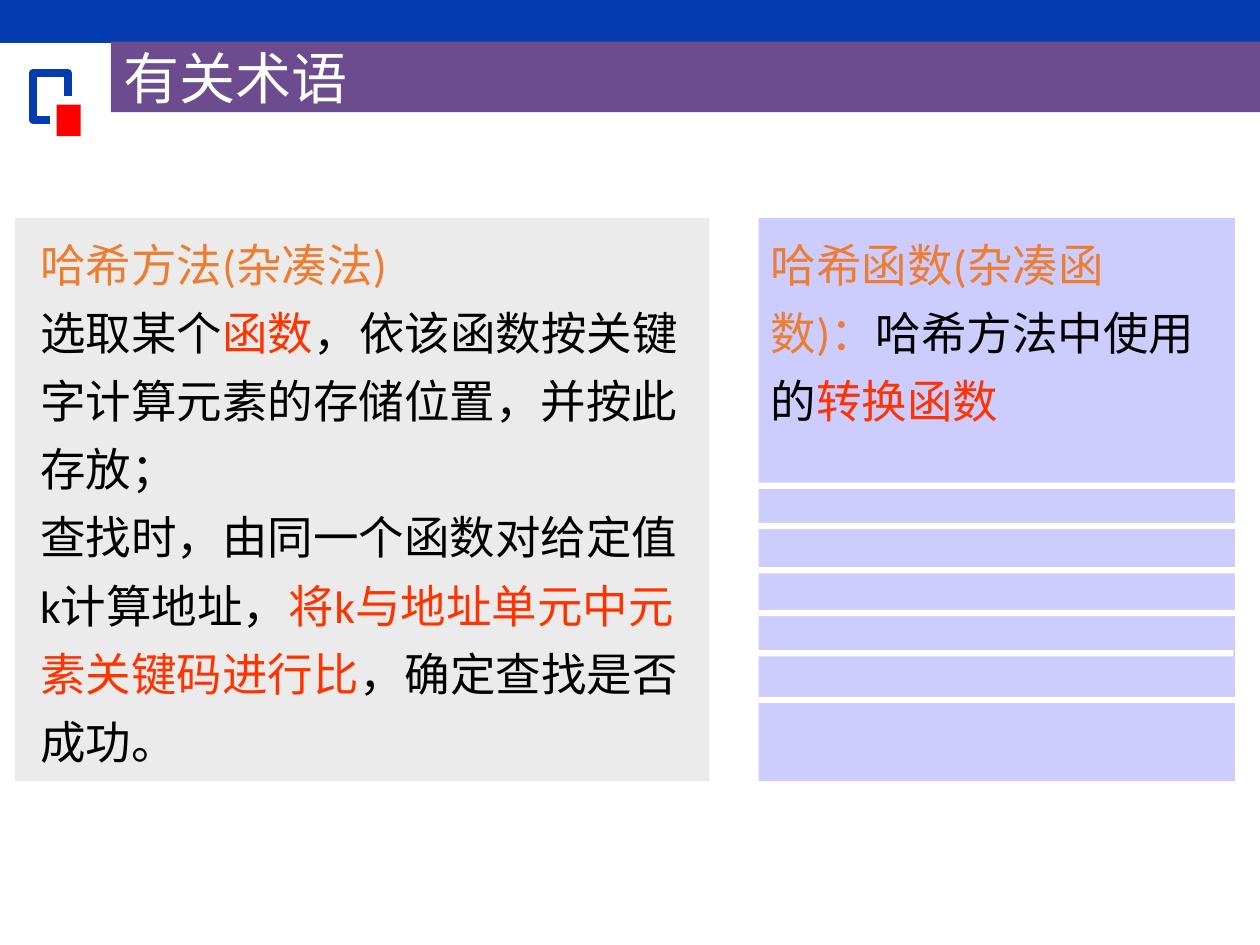
import pptx
import pptx.util
import pptx.dml.color
import pptx.enum.shapes
import pptx.enum.text
from dataclasses import dataclass

Inches = pptx.util.Inches
Pt = pptx.util.Pt


@dataclass(frozen=True)
class Theme:
    font: str = "Calibri"
    title_size: int = 32
    body_size: int = 26
    line_spacing: float = 1.25
    blue: str = "053CAF"
    red: str = "FF0000"
    purple: str = "6C4C8F"
    lavender: str = "CCCCFF"
    grey: str = "EBEBEB"
    white: str = "FFFFFF"
    text: str = "000000"
    term: str = "ED7D31"
    key: str = "FF3300"


THEME = Theme()

METHOD = [
    [("哈希方法(杂凑法)", THEME.term)],
    [("选取某个", THEME.text), ("函数", THEME.key),
     ("，依该函数按关键字计算元素的存储位置，并按此存放；", THEME.text)],
    [("查找时，由同一个函数对给定值k计算地址，", THEME.text),
     ("将k与地址单元中元素关键码进行比", THEME.key),
     ("，确定查找是否成功。", THEME.text)],
]
FUNCTION = [
    [("哈希函数(杂凑函数)：", THEME.term),
     ("哈希方法中使用的", THEME.text), ("转换函数", THEME.key)],
]
STRIPE_TOPS = [3.83, 4.15, 4.5, 4.84, 5.16, 5.53]


def rgb(color):
    return pptx.dml.color.RGBColor.from_string(color)


def set_all(obj, values):
    for name, value in values.items():
        setattr(obj, name, value)


def place(sp, x, y, w, h):
    set_all(sp, dict(left=Inches(x), top=Inches(y),
                     width=Inches(w), height=Inches(h)))


def add_run(p, text, size, color):
    r = p.add_run()
    r.text = text
    set_all(r.font, dict(name=THEME.font, size=Pt(size), bold=False))
    r.font.color.rgb = rgb(color)


def add_rect(s, x, y, w, h, color):
    sp = s.shapes.add_shape(pptx.enum.shapes.MSO_SHAPE.RECTANGLE,
                            Inches(x), Inches(y), Inches(w), Inches(h))
    sp.shadow.inherit = False
    sp.fill.solid()
    sp.fill.fore_color.rgb = rgb(color)
    sp.line.fill.background()


def add_bracket(s, points):
    start, *rest = [(Inches(x), Inches(y)) for x, y in points]
    fb = s.shapes.build_freeform(*start)
    fb.add_line_segments(rest, close=False)
    sp = fb.convert_to_shape()
    sp.shadow.inherit = False
    sp.fill.background()
    sp.line.color.rgb = rgb(THEME.blue)
    sp.line.width = Pt(4.5)


def add_text(s, x, y, w, h, paragraphs):
    tf = s.shapes.add_textbox(Inches(x), Inches(y), Inches(w), Inches(h)).text_frame
    tf.word_wrap = True
    for i, runs in enumerate(paragraphs):
        p = tf.add_paragraph() if i else tf.paragraphs[0]
        set_all(p, dict(line_spacing=THEME.line_spacing,
                        space_before=Pt(0), space_after=Pt(0)))
        for text, color in runs:
            add_run(p, text, THEME.body_size, color)


def set_title(s, text):
    sp = s.shapes.title
    place(sp, 0.88, 0.33, 9.13, 0.56)
    sp.fill.solid()
    sp.fill.fore_color.rgb = rgb(THEME.purple)
    tf = sp.text_frame
    set_all(tf, dict(word_wrap=True,
                     auto_size=pptx.enum.text.MSO_AUTO_SIZE.NONE,
                     vertical_anchor=pptx.enum.text.MSO_ANCHOR.MIDDLE))
    p = tf.paragraphs[0]
    p.alignment = pptx.enum.text.PP_ALIGN.LEFT
    add_run(p, text, THEME.title_size, THEME.white)
    # Bring the title band in front of the top bar
    sp.element.getparent().append(sp.element)


def main():
    prs = pptx.Presentation()
    set_all(prs, dict(slide_width=Inches(10), slide_height=Inches(7.5)))
    s = prs.slides.add_slide(prs.slide_layouts[5])

    # Header bar, corner ornament and title
    add_rect(s, 0, 0, 10, 0.34, THEME.blue)
    add_bracket(s, [(0.4, 0.95), (0.26, 0.95), (0.26, 0.58),
                    (0.54, 0.58), (0.54, 0.76)])
    add_rect(s, 0.45, 0.83, 0.19, 0.25, THEME.red)
    set_title(s, "有关术语")

    # Panels with the two definitions
    add_rect(s, 6.02, 1.73, 3.78, 4.47, THEME.lavender)
    add_rect(s, 0.12, 1.73, 5.51, 4.47, THEME.grey)
    add_text(s, 0.22, 1.72, 5.35, 4.48, METHOD)
    add_text(s, 6.02, 1.72, 3.66, 1.74, FUNCTION)

    # White stripes across the right panel
    for top in STRIPE_TOPS:
        left = 6.01 if top == 5.16 else 6.02
        add_rect(s, left, top, 3.78, 0.05, THEME.white)

    prs.save("out.pptx")


if __name__ == "__main__":
    main()
